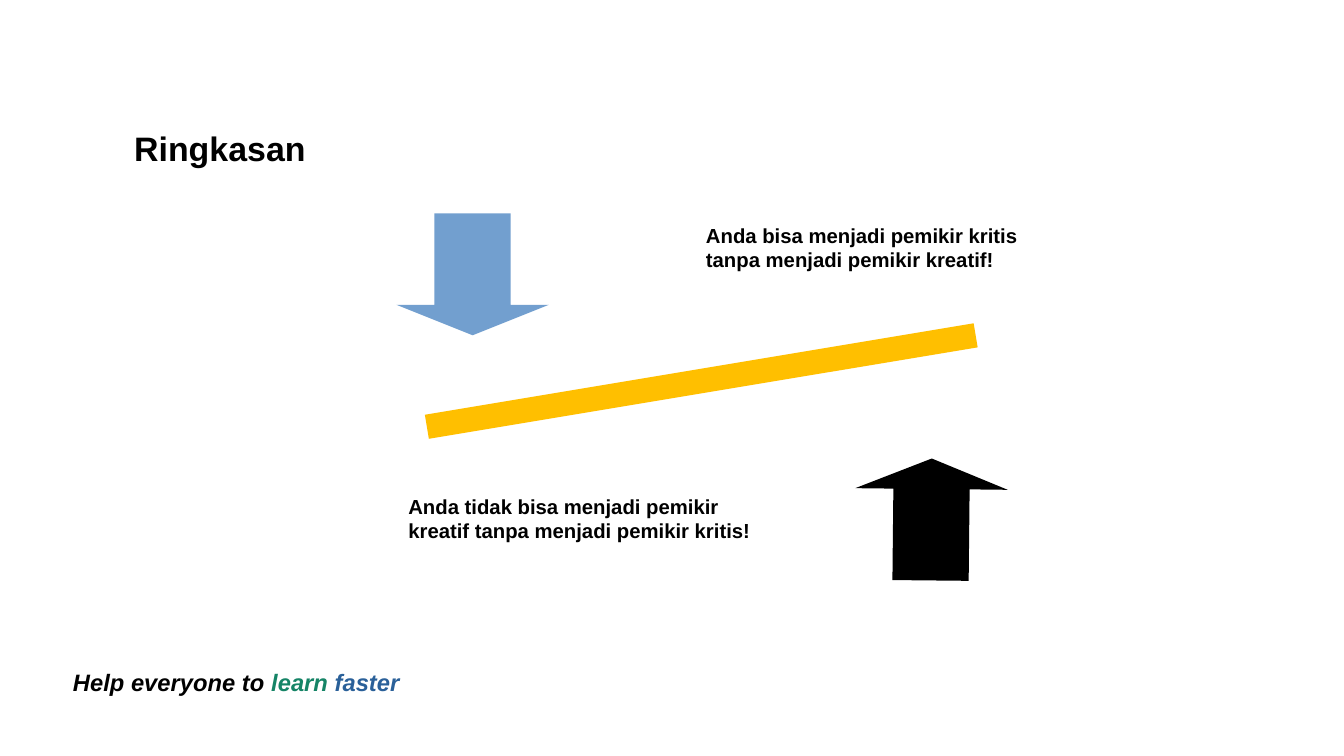
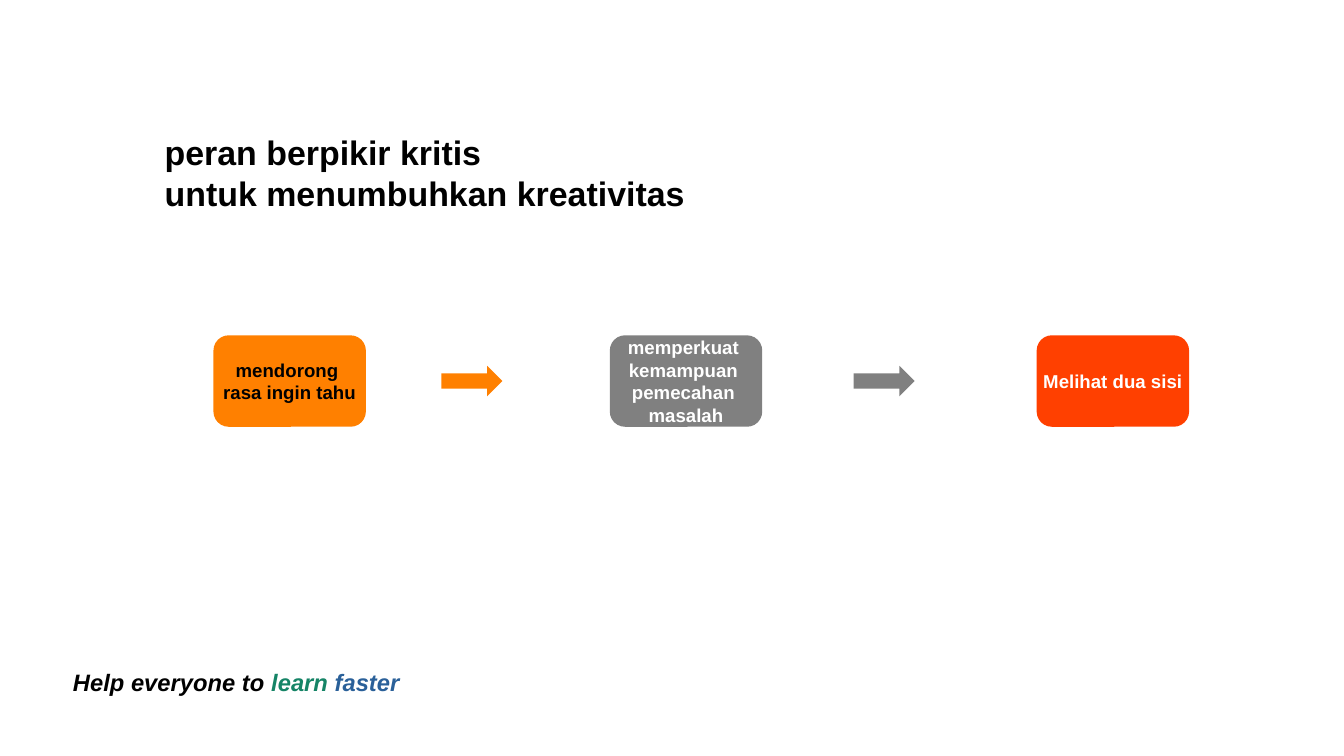
"""Build two slides on critical and creative thinking."""
from dataclasses import dataclass

from lxml import etree
from pptx import Presentation
from pptx.dml.color import RGBColor
from pptx.enum.shapes import MSO_CONNECTOR, MSO_SHAPE
from pptx.enum.text import MSO_ANCHOR, MSO_AUTO_SIZE, PP_ALIGN
from pptx.oxml.ns import qn
from pptx.util import Inches, Pt

DOWN = MSO_SHAPE.DOWN_ARROW
RIGHT = MSO_SHAPE.RIGHT_ARROW
STEP = MSO_SHAPE.FLOWCHART_ALTERNATE_PROCESS
STRAIGHT = MSO_CONNECTOR.STRAIGHT
TOP, MIDDLE = MSO_ANCHOR.TOP, MSO_ANCHOR.MIDDLE
LEFT, CENTER = PP_ALIGN.LEFT, PP_ALIGN.CENTER
FIXED = MSO_AUTO_SIZE.NONE


@dataclass(frozen=True)
class Theme:
    font: str = "Arial"
    black: str = "000000"
    white: str = "FFFFFF"
    green: str = "158466"
    navy: str = "2A6099"
    blue: str = "729FCF"
    gold: str = "FFBF00"
    orange: str = "FF8000"
    gray: str = "808080"
    red: str = "FF4000"
    title: int = 20
    motto: int = 14
    body: int = 12
    step: int = 11


theme = Theme()


def write(shape, lines, size, color=theme.black, align=LEFT, anchor=TOP, wrap=True):
    """Fill a shape with bold lines, one paragraph each."""
    frame = shape.text_frame
    frame.text = "\n".join(lines)
    frame.auto_size = FIXED
    frame.word_wrap = wrap
    frame.vertical_anchor = anchor
    for para in frame.paragraphs:
        para.alignment = align
        para.font.name = theme.font
        para.font.size = Pt(size)
        para.font.bold = True
        para.font.color.rgb = RGBColor.from_string(color)
    return frame


def draw(slide, kind, box, color):
    """Add a plain filled shape without outline or shadow."""
    shape = slide.shapes.add_shape(kind, *map(Inches, box))
    shape.shadow.inherit = False
    shape.fill.solid()
    shape.fill.fore_color.rgb = RGBColor.from_string(color)
    shape.line.fill.background()
    return shape


deck = Presentation()
deck.slide_width, deck.slide_height = Inches(11.02), Inches(6.2)
layout = deck.slide_layouts.get_by_name("Title Only")

titles = [
    ((1, 1, 2.25, 0.45), ["Ringkasan "]),
    ((1.25, 1.03, 4.5, 0.72), ["peran berpikir kritis ", "untuk menumbuhkan kreativitas"]),
]
for box, lines in titles:
    slide = deck.slides.add_slide(layout)
    title = slide.shapes.title
    title.left, title.top, title.width, title.height = map(Inches, box)
    write(title, lines, theme.title)
    motto = slide.shapes.add_textbox(*map(Inches, (0.5, 5.43, 2.88, 0.32)))
    para = write(motto, ["Help everyone to "], theme.motto, wrap=False).paragraphs[0]
    para.font.italic = True
    for word, color in (("learn ", theme.green), ("faster", theme.navy)):
        run = para.add_run()
        run.text = word
        run.font.color.rgb = RGBColor.from_string(color)

recap, roles = deck.slides

draw(recap, DOWN, (3.25, 1.75, 1.25, 1), theme.blue).adjustments[1] = 0.25
rise = draw(recap, DOWN, (7.01, 3.76, 1.25, 1), theme.black)
rise.adjustments[1] = 0.25
rise.rotation = 180.6

beam = recap.shapes.add_connector(STRAIGHT, *map(Inches, (3.5, 3.5, 8, 2.75)))
beam.line.color.rgb = RGBColor.from_string(theme.gold)
beam.line.width = Pt(14.4)
etree.SubElement(beam.element.spPr, qn("a:effectLst"))

notes = [
    ((5.69, 1.78, 2.81, 0.47), False,
     ["Anda bisa menjadi pemikir kritis ", "tanpa menjadi pemikir kreatif!"]),
    ((3.25, 4, 3.25, 0.47), True,
     ["Anda tidak bisa menjadi pemikir kreatif tanpa menjadi pemikir kritis!"]),
]
for box, wrap, lines in notes:
    note = recap.shapes.add_textbox(*map(Inches, box))
    write(note, lines, theme.body, wrap=wrap)

steps = [
    (1.75, theme.orange, theme.black, ["mendorong ", "rasa ingin tahu"]),
    (5, theme.gray, theme.white, ["memperkuat ", "kemampuan ", "pemecahan ", "masalah"]),
    (8.5, theme.red, theme.white, ["Melihat dua sisi"]),
]
for left, fill, ink, lines in steps:
    step = draw(roles, STEP, (left, 2.75, 1.25, 0.75), fill)
    write(step, lines, theme.step, ink, CENTER, MIDDLE, wrap=False)

for left, fill in ((3.62, theme.orange), (7, theme.gray)):
    draw(roles, RIGHT, (left, 3, 0.5, 0.25), fill)

deck.save("out.pptx")
